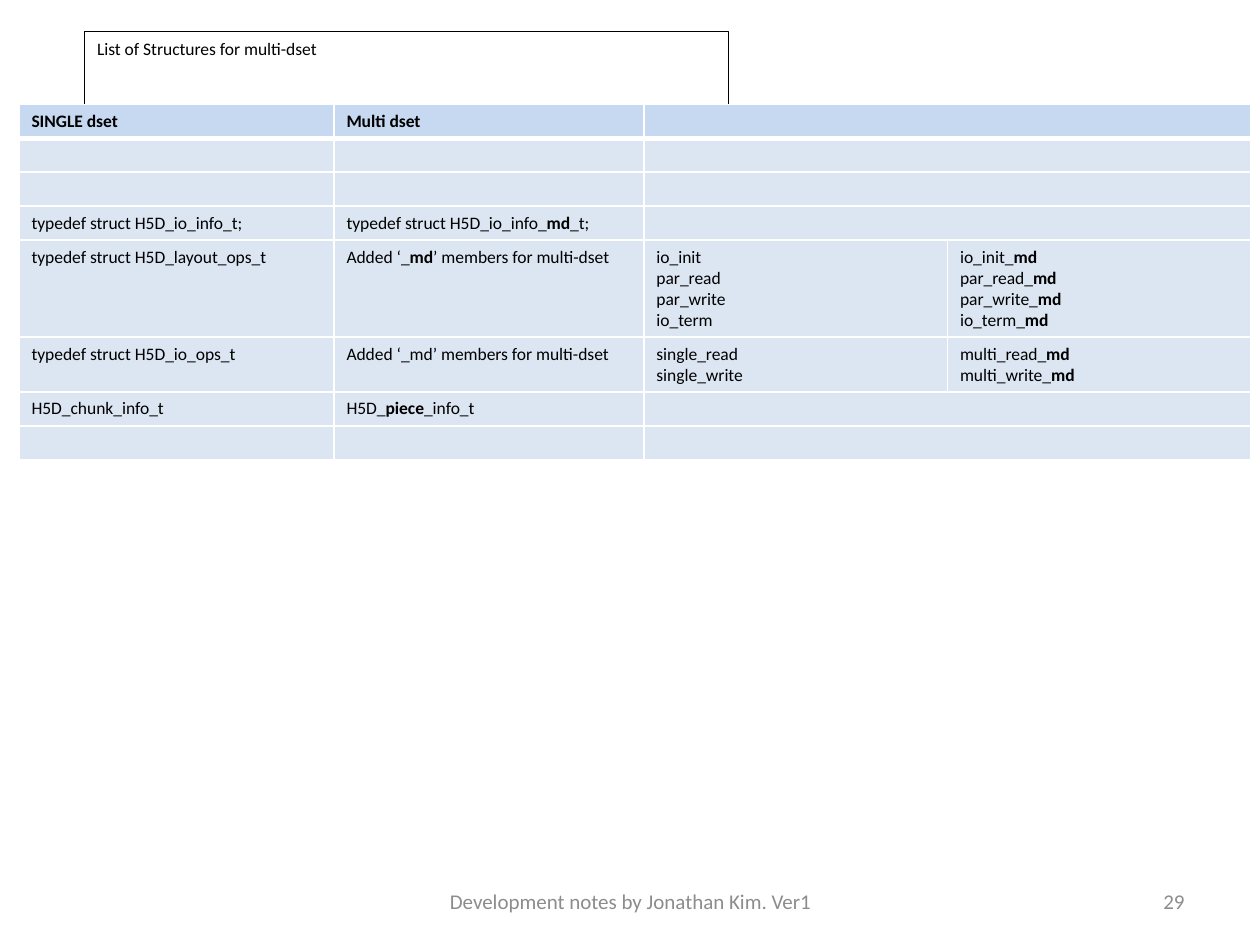
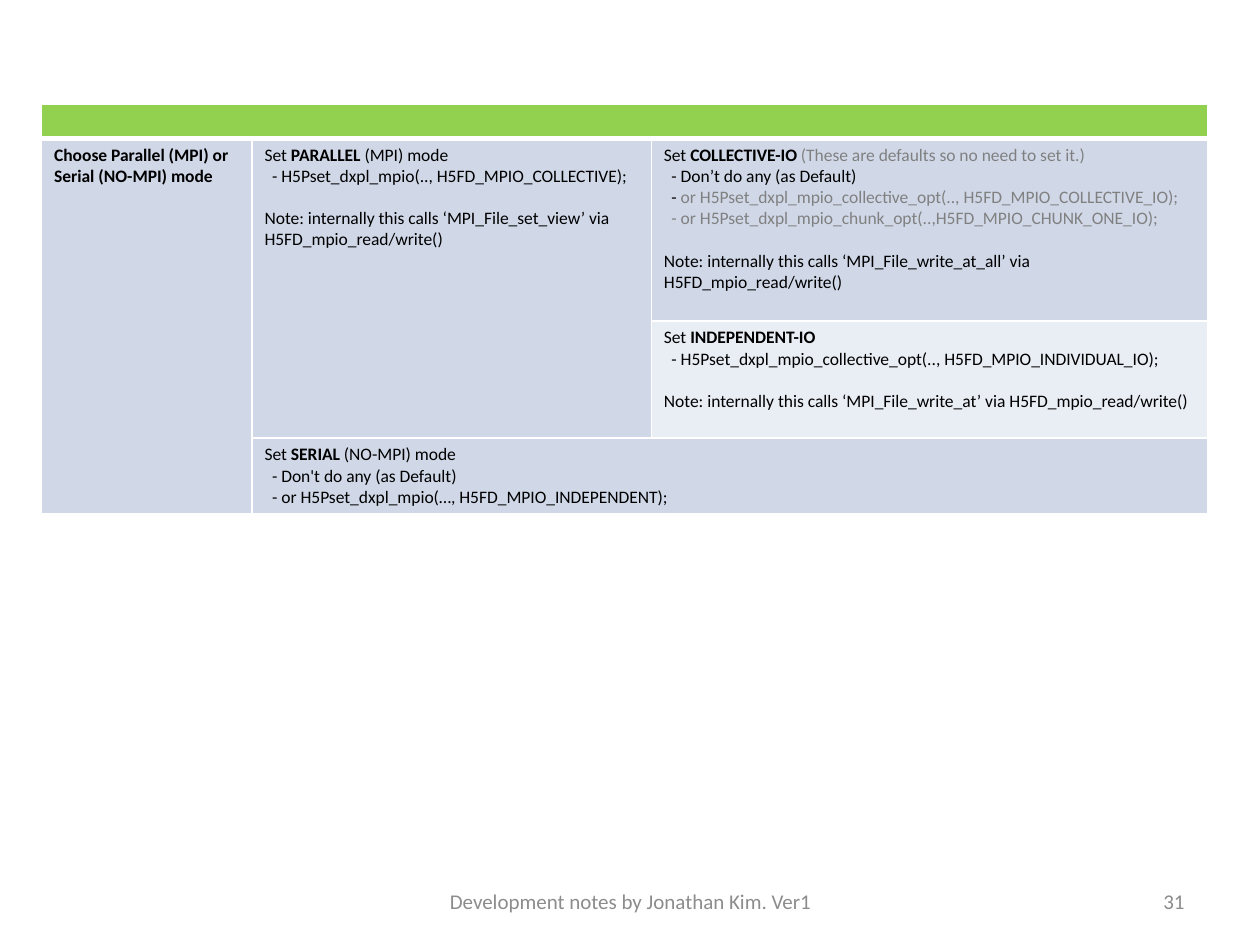
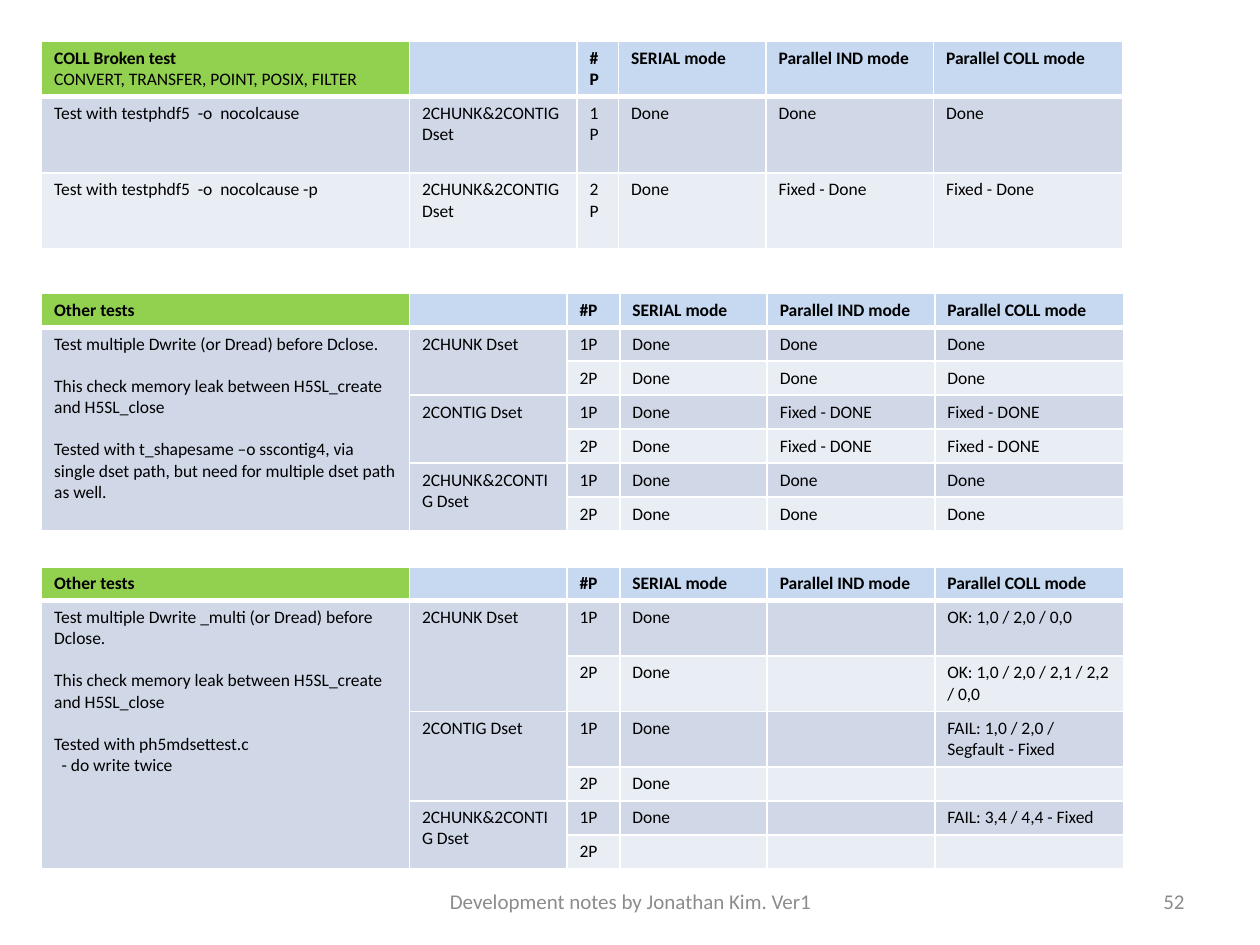
from dataclasses import dataclass

import pptx
import pptx.dml.color
import pptx.enum.text
import pptx.oxml.ns
import pptx.presentation
import pptx.slide
import pptx.table
import pptx.text.text
import pptx.util
from lxml import etree
from pptx.util import Inches

# Shared style
FONT = "Calibri"
BLACK, WHITE, GRAY, FOOTER_GRAY = "000000", "FFFFFF", "808080", "8C8C8C"
GREEN, HEADER_BLUE = "92D050", "C6D9F1"
BANDS = ("D0D8E8", "E9EDF4")
PLAIN_BANDS = ("DCE6F2", "DCE6F2")
BODY_SIZE, FOOTER_SIZE = 10, 12
FOOTER = "Development notes by Jonathan Kim. Ver1"
TITLE_ONLY, BLANK = 5, 6
HEADER_HEIGHT, LINE_HEIGHT, TWO_LINE_HEIGHT = 0.25, 0.27, 0.44
DASH_INDENT = 0.06


@dataclass
class TableSpec:
    """A table; in its texts, * toggles bold and | toggles gray."""
    left: float
    top: float
    widths: list[float]
    heights: list[float]
    rows: list[list[str]]
    merges: list[tuple[int, int, int, int]]
    corner: str = GREEN
    header: str = HEADER_BLUE
    bands: tuple[str, str] = BANDS


def color(value: str) -> pptx.dml.color.RGBColor:
    return pptx.dml.color.RGBColor.from_string(value)


def format_font(font: pptx.text.text.Font, size: float, value: str, bold: bool = False) -> None:
    font.name, font.size, font.bold = FONT, pptx.util.Pt(size), bold
    font.color.rgb = color(value)


# Tables
def write_paragraph(paragraph: pptx.text.text._Paragraph, line: str, bold: bool) -> None:
    if line.lstrip("|").startswith("- "):
        paragraph._p.get_or_add_pPr().set("marL", str(Inches(DASH_INDENT)))
    gray = False
    for bold_index, bold_part in enumerate(line.split("*")):
        for gray_index, part in enumerate(bold_part.split("|")):
            gray ^= gray_index > 0
            if part:
                run = paragraph.add_run()
                run.text = part
                format_font(run.font, BODY_SIZE, GRAY if gray else BLACK, bold ^ (bold_index % 2 == 1))


def write_cell(cell: pptx.table._Cell, text: str, bold: bool) -> None:
    text_frame = cell.text_frame
    if not text:
        end = etree.SubElement(text_frame.paragraphs[0]._p, pptx.oxml.ns.qn("a:endParaRPr"))
        end.set("sz", str(BODY_SIZE * 100))
        return
    paragraph = text_frame.paragraphs[0]
    for block_index, block in enumerate(text.split("\n\n")):
        for line_index, line in enumerate(block.split("\n")):
            if block_index or line_index:
                paragraph = text_frame.add_paragraph()
            if block_index and not line_index:
                paragraph.space_before = pptx.util.Pt(12)
            write_paragraph(paragraph, line, bold)


def set_borders(cell: pptx.table._Cell, top: float, bottom: float) -> None:
    properties = cell._tc.get_or_add_tcPr()
    for side, width in (("L", 1), ("R", 1), ("T", top), ("B", bottom)):
        line = etree.SubElement(properties, pptx.oxml.ns.qn(f"a:ln{side}"))
        line.set("w", str(pptx.util.Pt(width)))
        fill = etree.SubElement(line, pptx.oxml.ns.qn("a:solidFill"))
        etree.SubElement(fill, pptx.oxml.ns.qn("a:srgbClr")).set("val", WHITE)


def add_table(slide: pptx.slide.Slide, spec: TableSpec) -> None:
    table = slide.shapes.add_table(
        len(spec.rows), len(spec.widths), Inches(spec.left), Inches(spec.top),
        Inches(sum(spec.widths)), Inches(sum(spec.heights))).table
    table.horz_banding = table.first_row = False
    for column, width in zip(table.columns, spec.widths):
        column.width = Inches(width)
    for row, height in zip(table.rows, spec.heights):
        row.height = Inches(height)
    for row_index, texts in enumerate(spec.rows):
        is_header = row_index == 0
        for column_index, text in enumerate(texts):
            cell = table.cell(row_index, column_index)
            set_borders(cell, 3 if row_index == 1 else 1, 3 if is_header else 1)
            if is_header:
                fill = spec.header if column_index else spec.corner
            else:
                fill = spec.bands[(row_index - 1) % 2]
            cell.fill.solid()
            cell.fill.fore_color.rgb = color(fill)
            write_cell(cell, text, is_header)
    for top, left, bottom, right in spec.merges:
        table.cell(top, left).merge(table.cell(bottom, right))


# Slide frame
def add_footer_text(slide: pptx.slide.Slide, left: float, width: float, text: str,
                    alignment: pptx.enum.text.PP_ALIGN) -> None:
    box = slide.shapes.add_textbox(Inches(left), Inches(6.95), Inches(width), Inches(0.4))
    text_frame = box.text_frame
    text_frame.word_wrap = True
    text_frame.vertical_anchor = pptx.enum.text.MSO_ANCHOR.MIDDLE
    text_frame.text = text
    paragraph = text_frame.paragraphs[0]
    paragraph.alignment = alignment
    format_font(paragraph.runs[0].font, FOOTER_SIZE, FOOTER_GRAY)


def add_slide(presentation: pptx.presentation.Presentation, layout: int, number: int,
              tables: list[TableSpec]) -> pptx.slide.Slide:
    slide = presentation.slides.add_slide(presentation.slide_layouts[layout])
    for spec in tables:
        add_table(slide, spec)
    add_footer_text(slide, 3.42, 3.17, FOOTER, pptx.enum.text.PP_ALIGN.CENTER)
    add_footer_text(slide, 7.17, 2.33, str(number), pptx.enum.text.PP_ALIGN.RIGHT)
    return slide


def format_title(slide: pptx.slide.Slide, text: str) -> None:
    title = slide.shapes.title
    title.left, title.top, title.width, title.height = (
        Inches(0.67), Inches(0.25), Inches(5.11), Inches(0.27))
    title.line.color.rgb = color(BLACK)
    title.line.width = pptx.util.Pt(0.75)
    text_frame = title.text_frame
    text_frame.text = text
    text_frame.word_wrap = True
    text_frame.auto_size = pptx.enum.text.MSO_AUTO_SIZE.SHAPE_TO_FIT_TEXT
    text_frame.vertical_anchor = pptx.enum.text.MSO_ANCHOR.TOP
    text_frame.paragraphs[0].alignment = pptx.enum.text.PP_ALIGN.LEFT
    format_font(text_frame.paragraphs[0].runs[0].font, BODY_SIZE, BLACK)


# Structures for multi-dset
STRUCTURES = TableSpec(
    0.15, 0.83, [2.5, 2.46, 2.41, 2.41],
    [HEADER_HEIGHT] + [LINE_HEIGHT] * 3 + [0.77, 0.43] + [LINE_HEIGHT] * 2,
    [
        ["SINGLE dset", "Multi dset", "", ""],
        [""] * 4,
        [""] * 4,
        ["typedef struct H5D_io_info_t;", "typedef struct H5D_io_info_*md*_t;", "", ""],
        ["typedef struct H5D_layout_ops_t", "Added ‘_*md*’ members for multi-dset",
         "io_init\npar_read\npar_write\nio_term",
         "io_init_*md*\npar_read_*md*\npar_write_*md*\nio_term_*md*"],
        ["typedef struct H5D_io_ops_t", "Added ‘_md’ members for multi-dset",
         "single_read\nsingle_write", "multi_read_*md*\nmulti_write_*md*"],
        ["H5D_chunk_info_t", "H5D_*piece*_info_t", "", ""],
        [""] * 4,
    ],
    [(row, 2, row, 3) for row in (0, 1, 2, 3, 6, 7)],
    corner=HEADER_BLUE, bands=PLAIN_BANDS)

# Choice of parallel or serial mode
MODES = TableSpec(
    0.33, 0.83, [1.67, 3.17, 4.42], [HEADER_HEIGHT, 1.45, 0.93, 0.6],
    [
        [""] * 3,
        ["*Choose Parallel (MPI) or Serial (NO-MPI) mode*",
         "Set *PARALLEL* (MPI) mode\n"
         "- H5Pset_dxpl_mpio(.., H5FD_MPIO_COLLECTIVE);\n\n"
         "Note: internally this calls ‘MPI_File_set_view’ via H5FD_mpio_read/write()",
         "Set *COLLECTIVE-IO* |(These are defaults so no need to set it.)|\n"
         "- Don’t do any (as Default)\n"
         "- |or H5Pset_dxpl_mpio_collective_opt(.., H5FD_MPIO_COLLECTIVE_IO);|\n"
         "|- or H5Pset_dxpl_mpio_chunk_opt(..,H5FD_MPIO_CHUNK_ONE_IO);|\n\n"
         "Note: internally this calls ‘MPI_File_write_at_all’ via H5FD_mpio_read/write()"],
        ["", "",
         "Set *INDEPENDENT-IO*\n"
         "- H5Pset_dxpl_mpio_collective_opt(.., H5FD_MPIO_INDIVIDUAL_IO);\n\n"
         "Note: internally this calls ‘MPI_File_write_at’ via H5FD_mpio_read/write()"],
        ["",
         "Set *SERIAL* (NO-MPI) mode\n"
         "- Don't do any (as Default)\n"
         "- or H5Pset_dxpl_mpio(…, H5FD_MPIO_INDEPENDENT);", ""],
    ],
    [(0, 0, 0, 2), (1, 0, 3, 0), (1, 1, 2, 1), (3, 1, 3, 2)],
    header=GREEN)

# Test results
RESULT_HEADERS = ["", "#P", "SERIAL mode", "Parallel IND mode", "Parallel COLL mode"]
RESULT_WIDTHS = [1.17, 1.33, 1.5]
DATASETS = ["2CHUNK Dset", "2CONTIG Dset", "2CHUNK&2CONTIG Dset"]
DONE, FIXED = ["Done"] * 3, ["Done", "Fixed - DONE", "Fixed - DONE"]

BROKEN_TESTS = TableSpec(
    0.33, 0.33, [2.92, 1.33, 0.33] + RESULT_WIDTHS, [0.42, 0.61, 0.6],
    [
        ["COLL Broken test\n*CONVERT, TRANSFER, POINT, POSIX, FILTER*"] + RESULT_HEADERS,
        ["Test with testphdf5  -o  nocolcause", DATASETS[2], "1P"] + DONE,
        ["Test with testphdf5  -o  nocolcause -p", DATASETS[2], "2P",
         "Done", "Fixed - Done", "Fixed - Done"],
    ],
    [])


def other_tests(top: float, heights: list[float], description: str,
                results: list[list[str]]) -> TableSpec:
    """One row per dataset and process count, with each dataset over two rows."""
    rows = [["Other tests"] + RESULT_HEADERS]
    for index, result in enumerate(results):
        dataset = "" if index % 2 else DATASETS[index // 2]
        rows.append([description if index == 0 else "", dataset, f"{index % 2 + 1}P"] + result)
    merges = [(1, 0, 6, 0)] + [(row, 1, row + 1, 1) for row in (1, 3, 5)]
    return TableSpec(0.33, top, [2.92, 1.25, 0.42] + RESULT_WIDTHS,
                     [HEADER_HEIGHT] + heights, rows, merges)


SINGLE_TESTS = other_tests(
    2.33, [LINE_HEIGHT] * 6,
    "Test multiple Dwrite (or Dread) before Dclose.\n\n"
    "This check memory leak between H5SL_create and H5SL_close\n\n"
    "Tested with t_shapesame –o sscontig4, via single dset path, "
    "but need for multiple dset path as well.",
    [DONE, DONE, FIXED, FIXED, DONE, DONE])

MULTI_TESTS = other_tests(
    4.5, [TWO_LINE_HEIGHT] * 3 + [LINE_HEIGHT] * 3,
    "Test multiple Dwrite _multi (or Dread) before Dclose.\n\n"
    "This check memory leak between H5SL_create and H5SL_close\n\n"
    "Tested with ph5mdsettest.c\n- do write twice",
    [
        ["Done", "", "OK: 1,0 / 2,0 / 0,0"],
        ["Done", "", "OK: 1,0 / 2,0 / 2,1 / 2,2 / 0,0"],
        ["Done", "", "FAIL: 1,0 / 2,0 /\nSegfault - Fixed"],
        ["Done", "", ""],
        ["Done", "", "FAIL: 3,4 / 4,4 - Fixed"],
        [""] * 3,
    ])


def main() -> None:
    presentation = pptx.Presentation()
    presentation.slide_width, presentation.slide_height = Inches(10), Inches(7.5)
    structures_slide = add_slide(presentation, TITLE_ONLY, 29, [STRUCTURES])
    format_title(structures_slide, "List of Structures for multi-dset")
    add_slide(presentation, BLANK, 31, [MODES])
    add_slide(presentation, BLANK, 52, [BROKEN_TESTS, SINGLE_TESTS, MULTI_TESTS])
    presentation.save("out.pptx")


if __name__ == "__main__":
    main()
